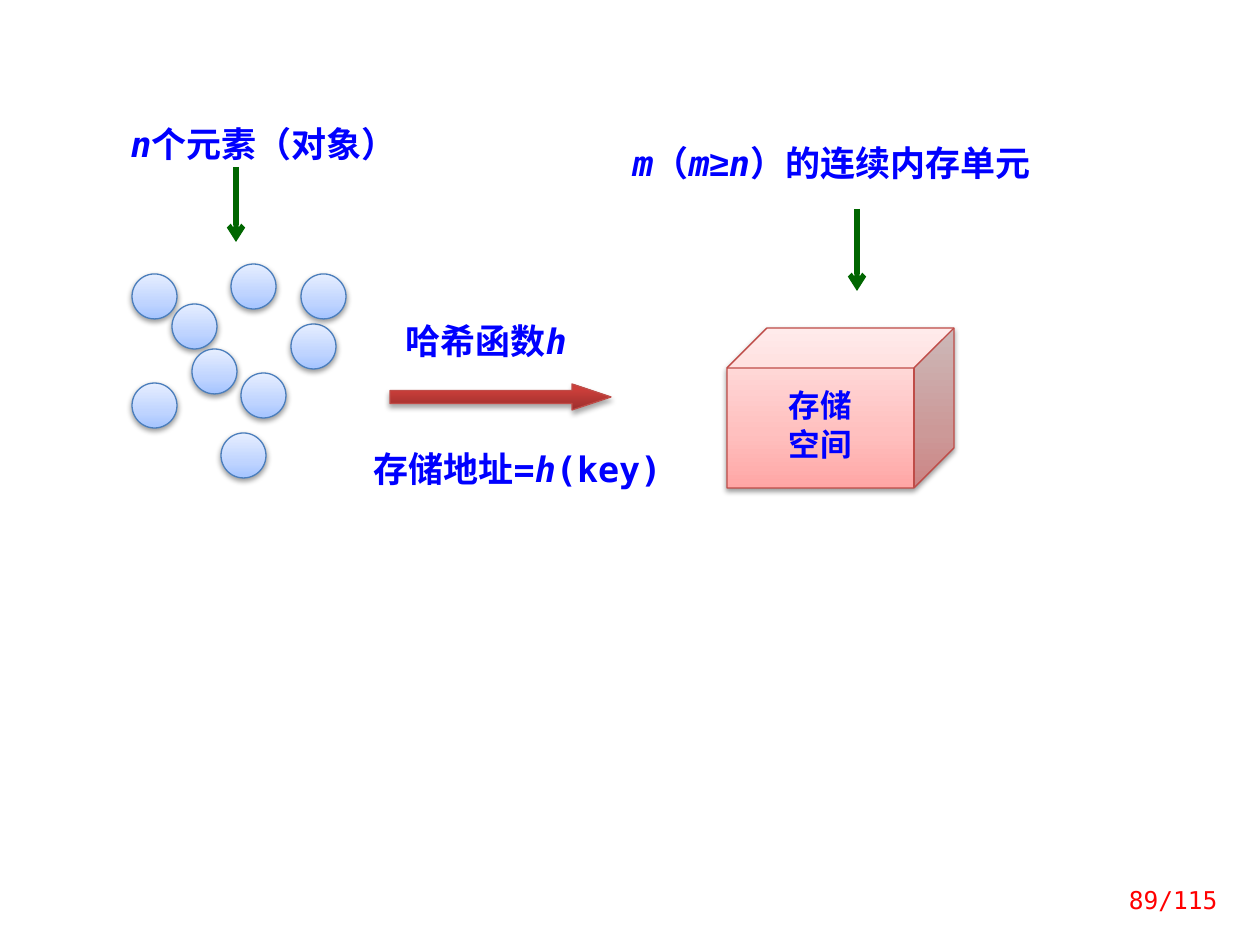
from lxml.etree import SubElement
from pptx import Presentation
from pptx.dml.color import RGBColor
from pptx.enum.shapes import MSO_CONNECTOR, MSO_SHAPE
from pptx.enum.text import MSO_ANCHOR, PP_ALIGN
from pptx.oxml.ns import qn
from pptx.util import Pt

SCALE = 914400 / 126
MONO, CJK = "DejaVu Sans Mono", "Noto Sans CJK SC"
BLUE, GREEN, RED = "0000FF", "006600", "FF0000"
BALL = [(0, "A4C4FF"), (35, "BFD4FF"), (100, "E6EEFF")]
ARROW = [(0, "9C2F2D"), (80, "CB3E3A"), (100, "CE3B37")]
CUBE = [(0, "FFA6A5"), (35, "FFC0BF"), (100, "FFE7E7")]
BALLS = [(132, 274), (172, 304), (192, 349), (231, 264), (132, 383),
         (241, 373), (291, 324), (221, 433), (301, 274)]


def px(*vals):
    return [round(v * SCALE) for v in vals]


def rgb(code):
    return RGBColor.from_string(code)


def node(parent, tag, **attrs):
    return SubElement(parent, qn(tag), {k: str(v) for k, v in attrs.items()})


def write(frame, paras, size=20, font=MONO, color=BLUE, bold=True,
          align=PP_ALIGN.LEFT, anchor=MSO_ANCHOR.TOP, line=0.8, gap=5):
    """Fill a frame; each paragraph is a list of (text, italic[, font]) runs."""
    frame.word_wrap = True
    frame.vertical_anchor = anchor
    for i, runs in enumerate(paras):
        para = frame.add_paragraph() if i else frame.paragraphs[0]
        para.alignment = align
        para.line_spacing = line
        if i:
            para.space_before = Pt(gap)
        for text, italic, *face in runs:
            run = para.add_run()
            run.text = text
            style = run.font
            style.name = face[0] if face else font
            style.size, style.bold, style.italic = Pt(size), bold, italic
            style.color.rgb = rgb(color)
            node(run._r.get_or_add_rPr(), "a:ea", typeface=CJK)


def label(slide, box, *runs, **style):
    write(slide.shapes.add_textbox(*px(*box)).text_frame, [runs], **style)


def shade(shape, alpha, dist):
    """Give the shape a soft shadow straight below it."""
    shape.shadow.inherit = False
    effects = shape._element.spPr.find(qn("a:effectLst"))
    outer = node(effects, "a:outerShdw", blurRad=Pt(3.1), dist=Pt(dist),
                 dir=5400000, rotWithShape=0)
    black = node(outer, "a:srgbClr", val="000000")
    node(black, "a:alpha", val=alpha * 1000)


def solid(slide, kind, box, stops, edge, adj=(), alpha=38, dist=1.6):
    """Add a preset shape with a gradient that runs from bottom to top."""
    shape = slide.shapes.add_shape(kind, *px(*box))
    for i, val in enumerate(adj):
        shape.adjustments[i] = val
    shape.fill.gradient()
    shape.fill.gradient_angle = 90
    ramp = shape._element.spPr.find(".//" + qn("a:gsLst"))
    for old in list(ramp):
        ramp.remove(old)
    for pos, code in stops:
        node(node(ramp, "a:gs", pos=pos * 1000), "a:srgbClr", val=code)
    shape.line.color.rgb = rgb(edge)
    shape.line.width = Pt(0.75)
    shade(shape, alpha, dist)
    return shape


def pointer(slide, x, top, end):
    line = slide.shapes.add_connector(
        MSO_CONNECTOR.STRAIGHT, *px(x, top, x, end))
    line.line.color.rgb = rgb(GREEN)
    line.line.width = Pt(3)
    node(line.line._get_or_add_ln(), "a:tailEnd", type="arrow")
    node(line._element.spPr, "a:effectLst")


def main():
    deck = Presentation()
    deck.slide_width, deck.slide_height = px(1260, 945)
    slide = deck.slides.add_slide(deck.slide_layouts[6])

    for x, y in BALLS:
        solid(slide, MSO_SHAPE.OVAL, (x, y, 45, 45), BALL, "4B7EBC")
    solid(slide, MSO_SHAPE.RIGHT_ARROW, (390, 384, 221, 26), ARROW, "BF4C48",
          adj=(0.5, 1.5), alpha=35, dist=1.8)
    label(slide, (393, 321, 277, 47), ("哈希函数", False), ("h", True))

    cube = solid(slide, MSO_SHAPE.CUBE, (727, 328, 227, 160), CUBE, "BF4C48",
                 adj=(0.25,))
    frame = cube.text_frame
    frame.margin_top, frame.margin_bottom = px(20, 20)
    write(frame, [[("存储", False)], [("空间", False)]], size=18, font=CJK,
          align=PP_ALIGN.CENTER, anchor=MSO_ANCHOR.MIDDLE)

    label(slide, (361, 449, 358, 47),
          ("存储地址=", False), ("h", True), ("(key)", False))
    label(slide, (118, 124, 305, 47), ("n", True), ("个元素（对象）", False))
    label(slide, (620, 143, 472, 47), ("m", True), ("（", False), ("m", True),
          ("≥", False, "Arial"), ("n", True), ("）的连续内存单元", False))
    pointer(slide, 236, 167, 242)
    pointer(slide, 857, 209, 291)
    label(slide, (1087, 875, 143, 50), ("89/115", False), size=14, color=RED,
          bold=False, align=PP_ALIGN.RIGHT, anchor=MSO_ANCHOR.MIDDLE, line=1.0)
    deck.save("out.pptx")


if __name__ == "__main__":
    main()
